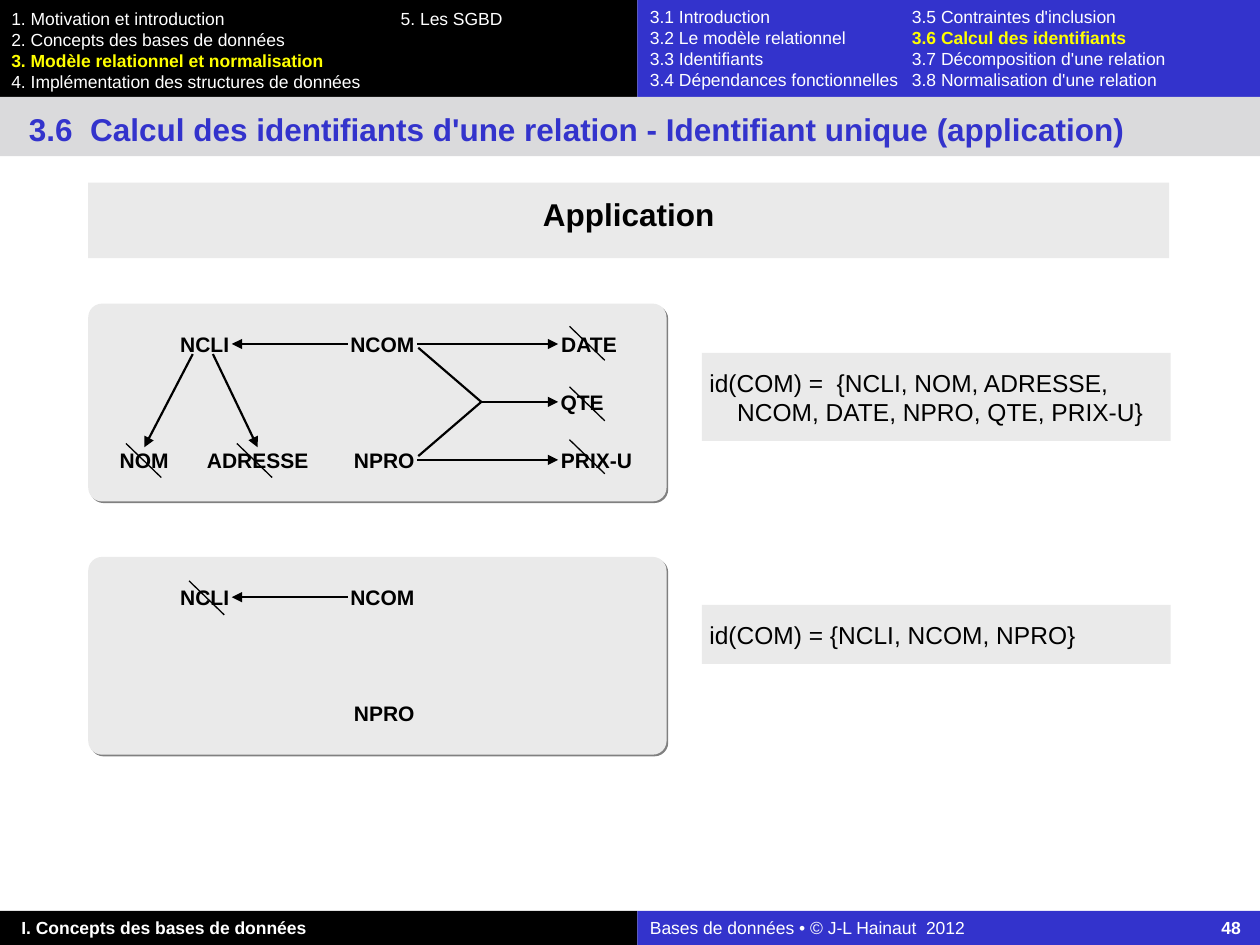
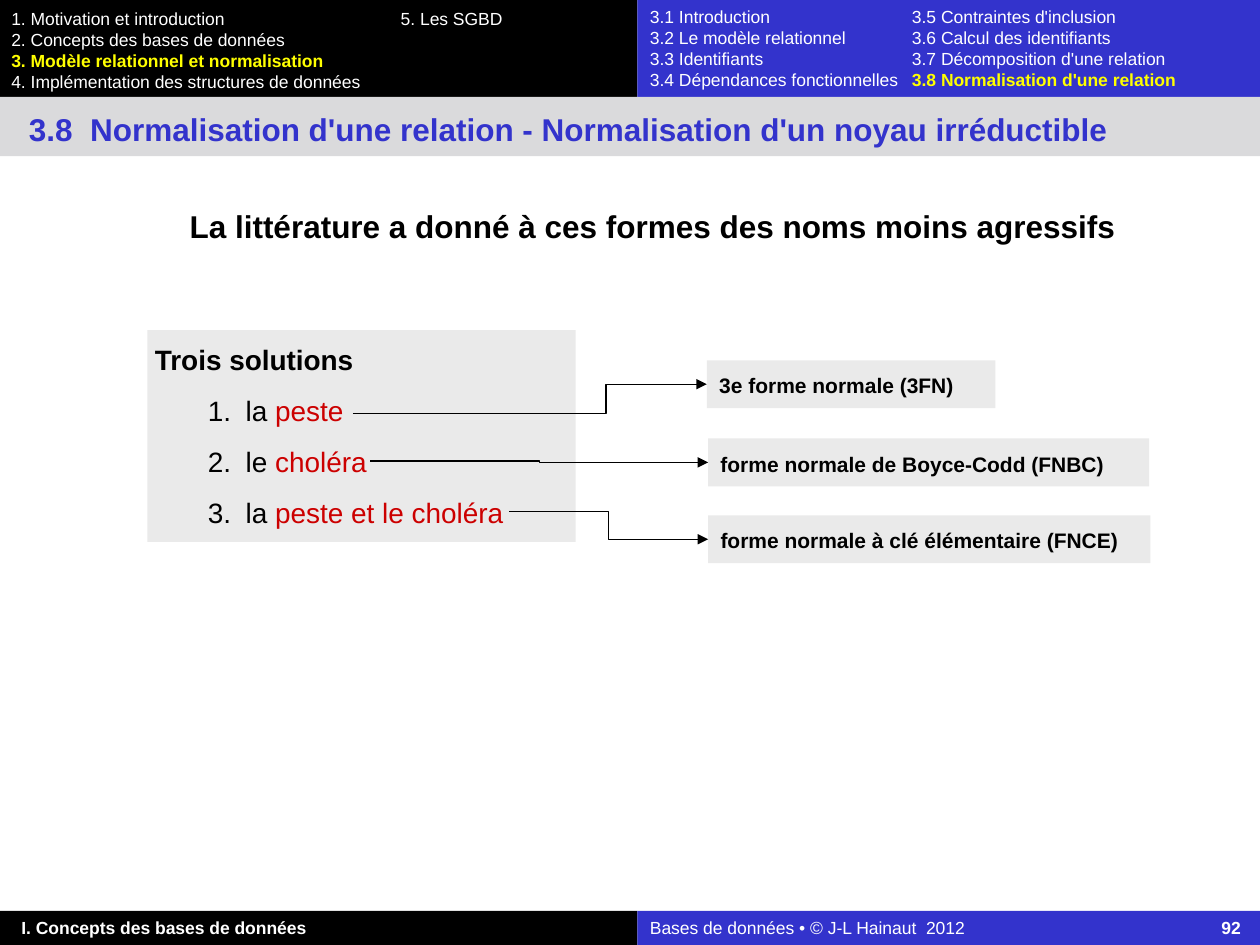
import pptx
import pptx.dml.color
import pptx.enum.shapes
import pptx.enum.text
import pptx.oxml
import pptx.oxml.ns
import pptx.util

Inches = pptx.util.Inches
Color = pptx.dml.color.RGBColor
Shape = pptx.enum.shapes.MSO_SHAPE
Connector = pptx.enum.shapes.MSO_CONNECTOR
Align = pptx.enum.text.PP_ALIGN
Anchor = pptx.enum.text.MSO_ANCHOR

BLACK = Color(0x00, 0x00, 0x00)
WHITE = Color(0xFF, 0xFF, 0xFF)
BLUE = Color(0x33, 0x33, 0xCC)
YELLOW = Color(0xFF, 0xFF, 0x00)
RED = Color(0xCC, 0x00, 0x00)
BAND_GREY = Color(0xDA, 0xDA, 0xDC)
PANEL_GREY = Color(0xEA, 0xEA, 0xEA)

NAV = {"size": 10, "color": WHITE}
ACTIVE = {"color": YELLOW, "bold": True}
TITLE = {"size": 18, "color": BLUE, "bold": True}
HEADING = {"size": 18, "bold": True}
FORMULA = {"size": 14}
SOLUTION = {"size": 16}
LABEL = {"size": 12, "bold": True}

SPLIT = 5.06
CHAPTERS = [
    ["1. Motivation et introduction", "5. Les SGBD"],
    ["2. Concepts des bases de données"],
    ["3. Modèle relationnel et normalisation"],
    ["4. Implémentation des structures de données"],
]
SECTIONS = [
    ["3.1 Introduction", "3.5 Contraintes d'inclusion"],
    ["3.2 Le modèle relationnel", "3.6 Calcul des identifiants"],
    ["3.3 Identifiants", "3.7 Décomposition d'une relation"],
    ["3.4 Dépendances fonctionnelles", "3.8 Normalisation d'une relation"],
]

ATTRIBUTES = {
    "NCLI": (0.73, 0.22, 0.39),
    "NOM": (0.25, 1.14, 0.39),
    "ADRESSE": (0.94, 1.14, 0.81),
    "NCOM": (2.08, 0.22, 0.51),
    "NPRO": (2.11, 1.14, 0.48),
    "DATE": (3.75, 0.22, 0.45),
    "QTE": (3.75, 0.68, 0.34),
    "PRIX-U": (3.75, 1.14, 0.57),
}


def add_xml(parent, tag, **attributes):
    element = pptx.oxml.parse_xml(f"<a:{tag} {pptx.oxml.ns.nsdecls('a')}/>")
    for name, value in attributes.items():
        element.set(name, str(value))
    parent.append(element)
    return element


def format_span(span, values):
    for name, value in {"name": "Arial", "color": BLACK, **values}.items():
        if name == "color":
            span.font.color.rgb = value
        elif name == "size":
            span.font.size = pptx.util.Pt(value)
        else:
            setattr(span.font, name, value)


def write(box, lines, style, insets=(0.1, 0.05, 0.1, 0.05), align=Align.LEFT,
          anchor=Anchor.TOP, wrap=True):
    frame = box.text_frame
    sides = ("margin_left", "margin_top", "margin_right", "margin_bottom")
    settings = dict(zip(sides, map(Inches, insets)))
    settings.update(word_wrap=wrap, vertical_anchor=anchor)
    for name, value in settings.items():
        setattr(frame, name, value)
    for number, line in enumerate(lines):
        para = frame.add_paragraph() if number else frame.paragraphs[0]
        para.alignment = align
        for text, changes in line:
            span = para.add_run()
            span.text = text
            format_span(span, {**style, **changes})
    return frame.paragraphs


def set_tab(para, position, side="l"):
    tabs = add_xml(para._p.get_or_add_pPr(), "tabLst")
    add_xml(tabs, "tab", pos=Inches(position), algn=side)


def set_indent(para, left, first=0):
    properties = para._p.get_or_add_pPr()
    properties.set("marL", str(Inches(left)))
    properties.set("indent", str(Inches(first)))


def add_box(page, at, fill, kind=Shape.RECTANGLE):
    box = page.shapes.add_shape(kind, *map(Inches, at))
    box.shadow.inherit = False
    box.fill.solid()
    box.fill.fore_color.rgb = fill
    box.line.fill.background()
    return box


def add_line(page, start, end, width=0.75, arrow=False, kind=Connector.STRAIGHT):
    line = page.shapes.add_connector(kind, *map(Inches, (*start, *end)))
    line.line.color.rgb = BLACK
    line.line.width = pptx.util.Pt(width)
    if arrow:
        add_xml(line.line._get_or_add_ln(), "tailEnd", type="triangle")
    add_xml(line._element.spPr, "effectLst")
    return line


def add_navigation(page, at, fill, rows, active, tab, insets):
    lines = []
    for row in rows:
        line = []
        for column, entry in enumerate(row):
            if column:
                line.append(("\t", {}))
            line.append((entry, ACTIVE if entry.startswith(active) else {}))
        lines.append(line)
    for para in write(add_box(page, at, fill), lines, NAV, insets):
        set_tab(para, tab)


def add_frame(deck, section, title, number):
    page = deck.slides.add_slide(deck.slide_layouts[6])
    add_navigation(page, (0, 0, SPLIT, 0.77), BLACK, CHAPTERS, "3.", 3.09,
                   (0.09, 0.06, 0.1, 0.05))
    add_navigation(page, (SPLIT, 0, 10 - SPLIT, 0.77), BLUE, SECTIONS, section, 2.08,
                   (0.1, 0.05, 0.1, 0.05))
    band = add_box(page, (0, 0.77, 10, 0.47), BAND_GREY)
    write(band, [[(f"{section}  {title}", {})]], TITLE, (0.23, 0.1, 0.1, 0.05))
    part = add_box(page, (0, 7.23, SPLIT, 0.27), BLACK)
    write(part, [[("I. Concepts des bases de données", {"bold": True})]], NAV,
          (0.17, 0.05, 0.1, 0.05))
    course = add_box(page, (SPLIT, 7.23, 10 - SPLIT, 0.27), BLUE)
    credit = [("Bases de données • © J-L Hainaut  2012\t", {}),
              (str(number), {"bold": True})]
    set_tab(write(course, [credit], NAV)[0], 4.69, "r")
    return page


def add_formula(page, at, lines):
    box = add_box(page, at, PANEL_GREY)
    paras = write(box, [[(line, {})] for line in lines], FORMULA, (0.06, 0.12, 0.02, 0.12))
    for para in paras[1:]:
        set_indent(para, 0.22)


def add_graph(page, left, top, names, arrows, strikes):
    def place(x, y):
        return left + x, top + y

    panel = add_box(page, (left, top, 4.59, 1.57), PANEL_GREY, Shape.ROUNDED_RECTANGLE)
    panel.adjustments[0] = 0.07
    effects = panel._element.spPr.find(pptx.oxml.ns.qn("a:effectLst"))
    shadow = add_xml(effects, "outerShdw", dist=pptx.util.Pt(1.4), dir=45 * 60000,
                     algn="tl", rotWithShape=0)
    add_xml(shadow, "srgbClr", val="808080")

    pad = 0.02
    labels = {}
    for name in names:
        x, y, width = ATTRIBUTES[name]
        box = page.shapes.add_textbox(
            *map(Inches, (*place(x - pad, y), width + 2 * pad, 0.2)))
        write(box, [[(name, {})]], LABEL, (0, 0, 0, 0), Align.CENTER, Anchor.MIDDLE, False)
        labels[name] = box

    for source, target, target_side in arrows:
        free_start = isinstance(source, tuple)
        start = place(*source) if free_start else (left, top)
        line = add_line(page, start, (left, top), 1.25, True)
        if not free_start:
            line.begin_connect(labels[source], 4 - target_side)
        line.end_connect(labels[target], target_side)
    for x, y in strikes:
        add_line(page, place(x, y), place(x + 0.28, y + 0.27))


def add_application(deck):
    page = add_frame(deck, "3.6", "Calcul des identifiants d'une relation"
                     " - Identifiant unique (application)", 48)
    heading = add_box(page, (0.7, 1.45, 8.58, 0.6), PANEL_GREY)
    write(heading, [[("Application", {})]], HEADING, (0.1, 0.1, 0.1, 0.2), Align.CENTER)
    add_formula(page, (5.57, 2.8, 3.72, 0.7),
                ["id(COM) =  {NCLI, NOM, ADRESSE,", "NCOM, DATE, NPRO, QTE, PRIX-U}"])

    left, top = 0.7, 2.41
    junction = (3.12, 0.78)
    add_graph(page, left, top, ATTRIBUTES,
              [("NCOM", "DATE", 1), ("NPRO", "PRIX-U", 1), ("NCOM", "NCLI", 3),
               (junction, "QTE", 1), ((0.83, 0.4), "NOM", 0), ((0.99, 0.4), "ADRESSE", 0)],
              [(0.3, 1.11), (1.18, 1.11), (3.82, 0.18), (3.82, 0.66), (3.82, 1.08)])
    for y in (0.35, 1.21):
        add_line(page, (left + 2.62, top + y),
                 (left + junction[0], top + junction[1]), 1.25)

    add_formula(page, (5.57, 4.8, 3.72, 0.47), ["id(COM) = {NCLI, NCOM, NPRO}"])
    add_graph(page, left, 4.42, ["NCLI", "NCOM", "NPRO"],
              [("NCOM", "NCLI", 3)], [(0.8, 0.19)])


def add_solutions(page, left, top):
    box = add_box(page, (left, top, 3.4, 1.68), PANEL_GREY)
    solutions = [("la", "peste"), ("le", "choléra"), ("la", "peste et le choléra")]
    lines = [[("Trois solutions", {"bold": True})]]
    for number, (article, name) in enumerate(solutions, 1):
        lines.append([(f"{number}.\t{article} ", {}), (name, {"color": RED})])
    paras = write(box, lines, SOLUTION, (0.06, 0.1, 0.02, 0.1))
    for para in paras[1:]:
        set_indent(para, 0.72, -0.3)
        para.space_before = pptx.util.Pt(10)

    forms = [
        ("3e forme normale (3FN)", (4.44, 0.24, 2.29), (1.63, 0.66), 71500),
        ("forme normale de Boyce-Codd (FNBC)", (4.45, 0.86, 3.5), (1.77, 1.04), 50000),
        ("forme normale à clé élémentaire (FNCE)", (4.45, 1.47, 3.51), (2.87, 1.44), 50000),
    ]
    for name, (x, y, width), (start_x, start_y), bend in forms:
        form = add_box(page, (left + x, top + y, width, 0.38), PANEL_GREY)
        write(form, [[(name, {})]], LABEL, (0.1, 0.1, 0.1, 0.08))
        start = (left + start_x, top + start_y)
        link = add_line(page, start, (left + x, top + y), 0.75, True, Connector.ELBOW)
        link.end_connect(form, 1)
        guides = link._element.spPr.prstGeom.get_or_add_avLst()
        add_xml(guides, "gd", name="adj1", fmla=f"val {bend}")


def add_normal_forms(deck):
    page = add_frame(deck, "3.8", "Normalisation d'une relation"
                     " - Normalisation d'un noyau irréductible", 92)
    heading = page.shapes.add_textbox(*map(Inches, (0.87, 1.54, 8.58, 0.5)))
    write(heading, [[("La littérature a donné à ces formes des noms moins agressifs", {})]],
          HEADING, (0.06, 0.1, 0.02, 0.1), Align.CENTER)
    add_solutions(page, 1.17, 2.62)


def main():
    deck = pptx.Presentation()
    deck.slide_width = Inches(10)
    deck.slide_height = Inches(7.5)
    add_application(deck)
    add_normal_forms(deck)
    deck.save("out.pptx")


if __name__ == "__main__":
    main()
